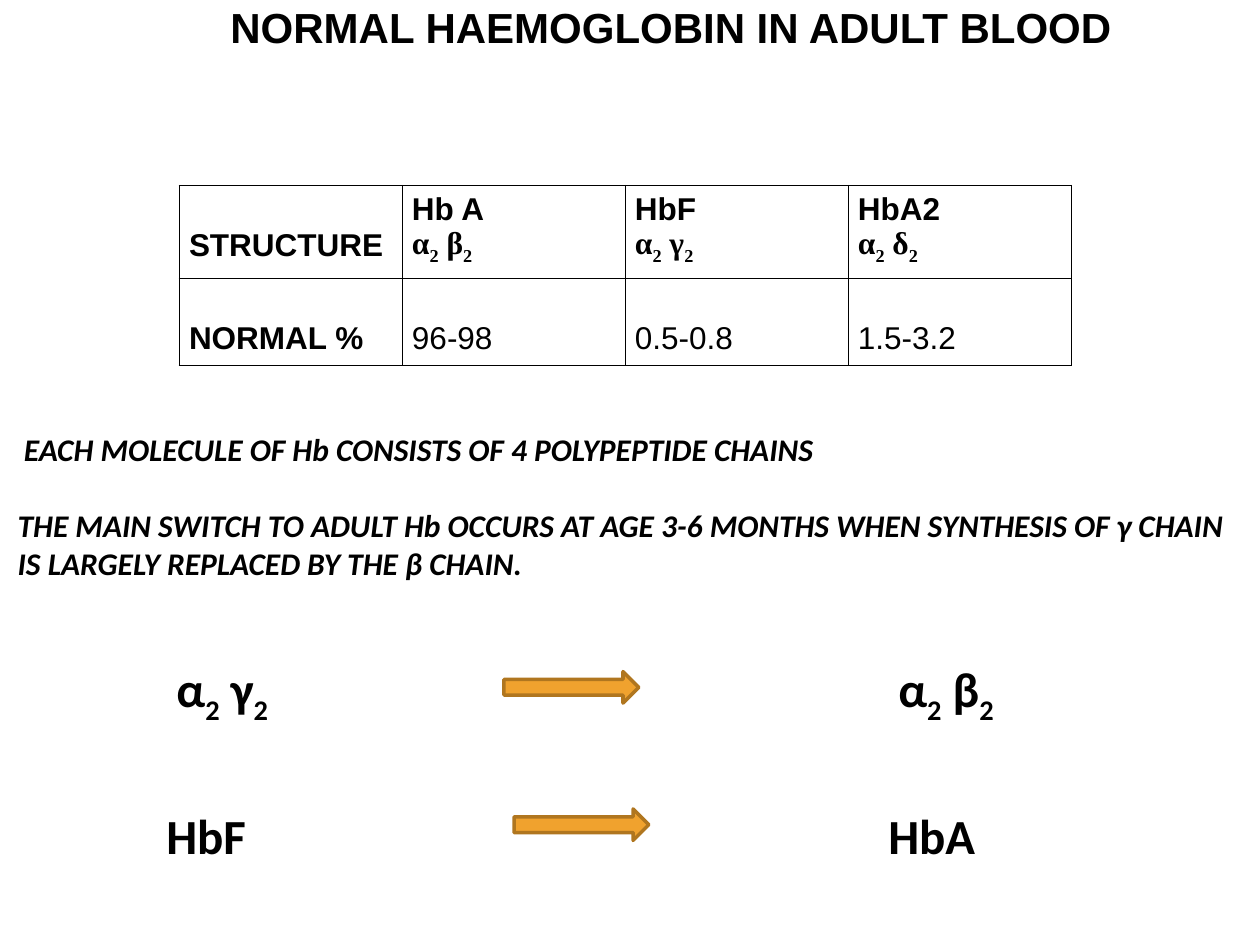
from dataclasses import dataclass
from itertools import groupby

from lxml import etree
from pptx import Presentation
from pptx.dml.color import RGBColor
from pptx.enum.shapes import MSO_SHAPE
from pptx.enum.text import MSO_ANCHOR, PP_ALIGN
from pptx.oxml.ns import qn
from pptx.slide import Slide
from pptx.table import _Cell
from pptx.text.text import _Paragraph
from pptx.util import Inches, Length, Pt

RIGHT_ARROW = MSO_SHAPE.RIGHT_ARROW
TOP, MIDDLE = MSO_ANCHOR.TOP, MSO_ANCHOR.MIDDLE
LEFT, CENTER = PP_ALIGN.LEFT, PP_ALIGN.CENTER

# The slide is a grid of 100 columns and 75 rows
COLUMNS, ROWS = 100, 75
UNIT = Inches(0.1)


@dataclass(frozen=True)
class Theme:
    ink: RGBColor = RGBColor(0x00, 0x00, 0x00)
    arrow_fill: RGBColor = RGBColor(0xF0, 0xA2, 0x2E)
    arrow_line: RGBColor = RGBColor(0xB0, 0x76, 0x1F)
    heading_font: str = "Arial"
    formula_font: str = "Times New Roman"
    body_font: str = "Calibri"
    title_size: int = 24
    body_size: int = 18
    label_size: int = 28
    arrow_width: int = 2
    border_width: float = 0.45


@dataclass(frozen=True)
class Area:
    """A place on the grid, in columns and rows."""
    left: float
    top: float
    width: float
    height: float

    def box(self) -> tuple[Length, ...]:
        return tuple(grid(n) for n in (self.left, self.top, self.width, self.height))


@dataclass(frozen=True)
class Line:
    """One paragraph; digits in a formula are set as subscripts."""
    text: str
    font: str
    size: int
    bold: bool = True
    italic: bool = False
    formula: bool = False
    before: int = 0
    indent: float = 0


@dataclass(frozen=True)
class Switch:
    """A foetal form, an arrow and the adult form that replaces it."""
    before: str
    after: str
    formula: bool
    label_top: float
    label_left: float
    arrow_left: float
    arrow_top: float


THEME = Theme()
TABLE_AREA = Area(14.2, 14.7, 70.8, 13.6)
TABLE_ROWS = (7, 6.6)
LOWERED_MARGIN = 3.37  # puts a single line level with a second line
LABEL_STEP = 57.3
HAEMOGLOBINS = (
    ("Hb A", "α2 β2", "96-98"),
    ("HbF", "α2 γ2", "0.5-0.8"),
    ("HbA2", "α2 δ2", "1.5-3.2"),
)
SWITCHES = (
    Switch("α2 γ2", "α2 β2", True, 52.3, 14, 40, 53.3),
    Switch("HbF", "HbA", False, 63.9, 13.2, 40.8, 64.2),
)


def grid(units: float) -> Length:
    return Length(round(units * UNIT))


def write_line(paragraph: _Paragraph, line: Line) -> None:
    pieces = groupby(line.text, str.isdigit) if line.formula else ((False, line.text),)
    for lowered, characters in pieces:
        run = paragraph.add_run()
        run.text = "".join(characters)
        if lowered:
            run.font._element.set("baseline", "-25000")
    if line.indent:
        paragraph._p.get_or_add_pPr().set("marL", str(grid(line.indent)))
    if line.before:
        paragraph.space_before = Pt(line.before)
    font = paragraph.font
    font.name, font.size = line.font, Pt(line.size)
    font.bold, font.italic = line.bold, line.italic
    font.color.rgb = THEME.ink


def add_text(slide: Slide, area: Area, lines: tuple[Line, ...],
             align: PP_ALIGN = LEFT, anchor: MSO_ANCHOR = TOP) -> None:
    frame = slide.shapes.add_textbox(*area.box()).text_frame
    frame.word_wrap = False
    frame.vertical_anchor = anchor
    frame.margin_left = frame.margin_right = 0
    frame.margin_top = frame.margin_bottom = 0
    for index, line in enumerate(lines):
        paragraph = frame.add_paragraph() if index else frame.paragraphs[0]
        paragraph.alignment = align
        write_line(paragraph, line)


def style_cell(cell: _Cell, lines: tuple[Line, ...]) -> None:
    cell.margin_left = cell.margin_right = grid(0.8)
    cell.margin_top = grid(0.5 if len(lines) > 1 else LOWERED_MARGIN)
    cell.margin_bottom = grid(0.5)
    cell.vertical_anchor = TOP
    cell.fill.background()
    for index, line in enumerate(lines):
        frame = cell.text_frame
        write_line(frame.add_paragraph() if index else frame.paragraphs[0], line)
    properties = cell._tc.get_or_add_tcPr()
    for position, side in enumerate(("lnL", "lnR", "lnT", "lnB")):
        border = etree.Element(qn(f"a:{side}"), w=str(Pt(THEME.border_width)))
        fill = etree.SubElement(border, qn("a:solidFill"))
        etree.SubElement(fill, qn("a:srgbClr"), val=str(THEME.ink))
        properties.insert(position, border)


def add_haemoglobin_table(slide: Slide) -> None:
    def heading(text: str, bold: bool = True) -> Line:
        return Line(text, THEME.heading_font, THEME.body_size, bold)

    columns = [((heading("STRUCTURE"),), (heading("NORMAL %"),))]
    for name, chains, share in HAEMOGLOBINS:
        formula = Line(chains, THEME.formula_font, THEME.body_size, formula=True)
        columns.append(((heading(name), formula), (heading(share, False),)))

    table = slide.shapes.add_table(len(TABLE_ROWS), len(columns), *TABLE_AREA.box()).table
    table.first_row = table.horz_banding = False
    for row, height in zip(table.rows, TABLE_ROWS):
        row.height = grid(height)
    for column_index, column in enumerate(columns):
        table.columns[column_index].width = grid(TABLE_AREA.width / len(columns))
        for row_index, lines in enumerate(column):
            style_cell(table.cell(row_index, column_index), lines)


def add_switch(slide: Slide, switch: Switch) -> None:
    for index, text in enumerate((switch.before, switch.after)):
        area = Area(switch.label_left + index * LABEL_STEP, switch.label_top, 10, 4.8)
        label = Line(text, THEME.body_font, THEME.label_size, formula=switch.formula)
        add_text(slide, area, (label,))
    area = Area(switch.arrow_left, switch.arrow_top, 10.7, 2.5)
    arrow = slide.shapes.add_shape(RIGHT_ARROW, *area.box())
    arrow.shadow.inherit = False
    arrow.fill.solid()
    arrow.fill.fore_color.rgb = THEME.arrow_fill
    arrow.line.color.rgb = THEME.arrow_line
    arrow.line.width = Pt(THEME.arrow_width)


def statement(text: str, before: int = 0, indent: float = 0) -> Line:
    return Line(text, THEME.body_font, THEME.body_size, italic=True,
                before=before, indent=indent)


def main() -> None:
    presentation = Presentation()
    presentation.slide_width, presentation.slide_height = grid(COLUMNS), grid(ROWS)
    slide = presentation.slides.add_slide(presentation.slide_layouts[6])

    # Title
    title = Line("NORMAL HAEMOGLOBIN IN ADULT BLOOD", THEME.heading_font, THEME.title_size)
    add_text(slide, Area(17.7, 0, 71.1, 4.2), (title,), CENTER, MIDDLE)

    # Table of haemoglobin types
    add_haemoglobin_table(slide)

    # Statements
    add_text(slide, Area(1.4, 34.1, 97, 12.2), (
        statement("EACH MOLECULE OF Hb CONSISTS OF 4 POLYPEPTIDE CHAINS", indent=0.5),
        statement("THE MAIN SWITCH TO ADULT Hb OCCURS AT AGE 3-6 MONTHS "
                  "WHEN SYNTHESIS OF γ CHAIN", before=22),
        statement("IS LARGELY REPLACED BY THE β CHAIN."),
    ))

    # Switch from foetal to adult haemoglobin
    for switch in SWITCHES:
        add_switch(slide, switch)

    presentation.save("out.pptx")


if __name__ == "__main__":
    main()
